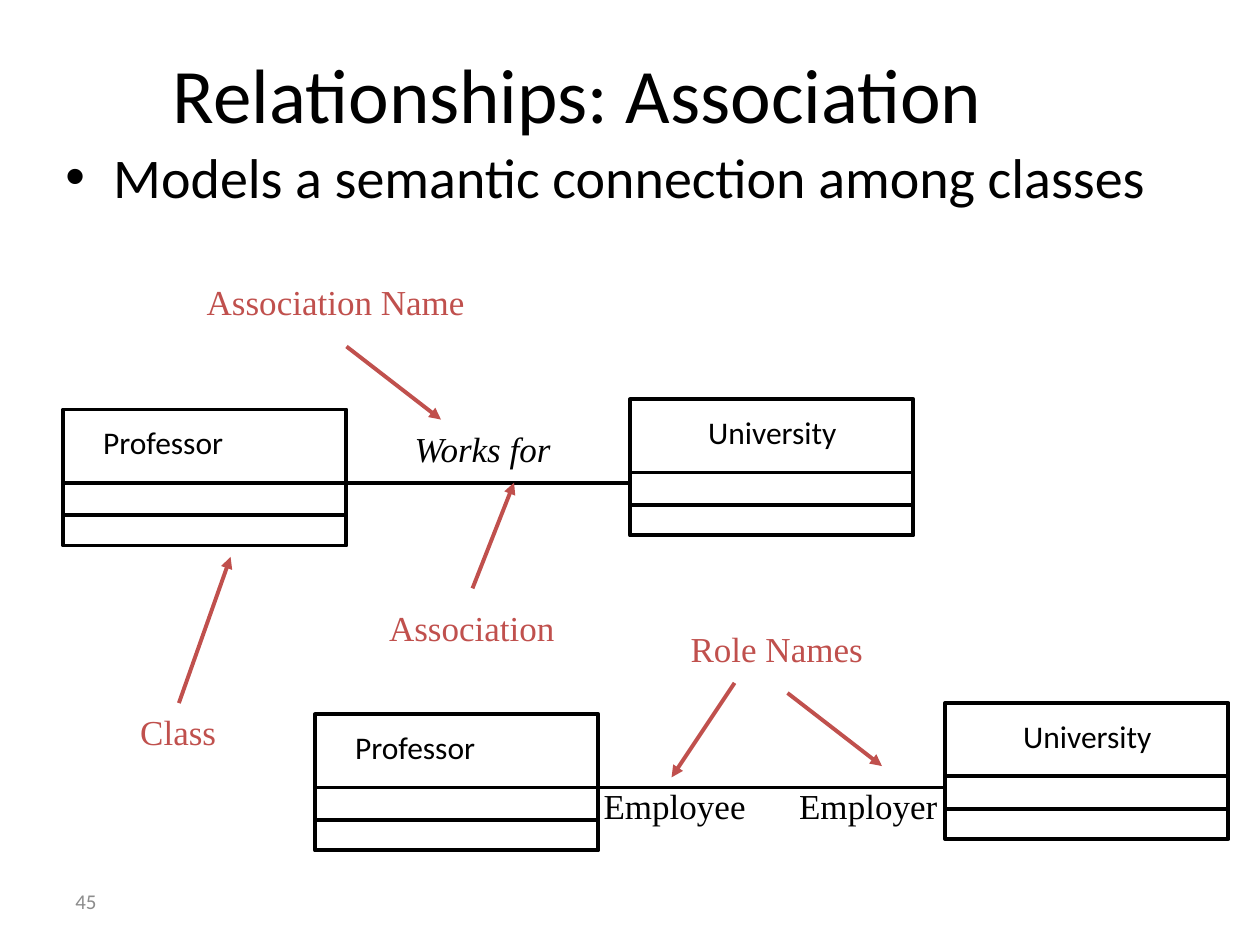
from lxml.etree import SubElement
from pptx import Presentation
from pptx.dml.color import RGBColor
from pptx.enum.shapes import MSO_CONNECTOR, MSO_SHAPE
from pptx.enum.text import MSO_ANCHOR, PP_ALIGN
from pptx.oxml.ns import qn
from pptx.util import Inches, Pt

COLORS = {"ink": "000000", "accent": "C0504D", "muted": "8C8C8C"}
CLASS_TEXT = {"name": "Calibri", "size": Pt(18)}
LABEL_TEXT = {"name": "Times New Roman", "size": Pt(20)}
TITLE_TEXT = {"name": "Calibri", "size": Pt(44)}
BODY_TEXT = {"name": "Calibri", "size": Pt(32)}
NUMBER_TEXT = {"name": "Calibri", "size": Pt(12)}


def rgb(color):
    return RGBColor.from_string(COLORS[color])


def write(sp, text, style, color="ink", align=PP_ALIGN.LEFT, anchor=MSO_ANCHOR.TOP):
    tf = sp.text_frame
    tf.word_wrap = True
    tf.vertical_anchor = anchor
    p = tf.paragraphs[0]
    p.alignment = align
    r = p.add_run()
    r.text = text
    for key, value in style.items():
        setattr(r.font, key, value)
    r.font.color.rgb = rgb(color)
    return p


def add_text(s, box, text, style, **options):
    sp = s.shapes.add_textbox(*map(Inches, box))
    write(sp, text, style, **options)
    return sp


def add_label(s, x, y, text, width=2.33, italic=False, color="accent", align=PP_ALIGN.CENTER):
    sp = add_text(s, (x, y, width, 0.45), text, {**LABEL_TEXT, "italic": italic},
                  color=color, align=align)
    margins = {"margin_left": 0.12, "margin_right": 0.12, "margin_top": 0.06, "margin_bottom": 0.06}
    for key, value in margins.items():
        setattr(sp.text_frame, key, Inches(value))


def add_line(s, start, end, color="ink", arrow=False):
    line = s.shapes.add_connector(MSO_CONNECTOR.STRAIGHT, *map(Inches, (*start, *end)))
    line.line.width = Pt(2.25)
    line.line.color.rgb = rgb(color)
    if arrow:
        SubElement(line.line._get_or_add_ln(), qn("a:tailEnd"), type="triangle")
    SubElement(line._element.spPr, qn("a:effectLst"))


def add_class(s, x, y, name, align=PP_ALIGN.LEFT):
    width = 2.25
    sp = s.shapes.add_shape(MSO_SHAPE.RECTANGLE, *map(Inches, (x, y, width, 1.08)))
    sp.shadow.inherit = False
    sp.fill.background()
    sp.line.color.rgb = rgb("ink")
    sp.line.width = Pt(2.25)
    add_text(s, (x + 0.22, y + 0.06, 1.82, 0.5), name, CLASS_TEXT, align=align)
    for offset in (0.58, 0.84):
        add_line(s, (x, y + offset), (x + width, y + offset))


def add_title(s, text):
    sp = s.shapes.title
    for key, value in {"left": 0.5, "top": 0.3, "width": 8.17, "height": 0.87}.items():
        setattr(sp, key, Inches(value))
    write(sp, text, TITLE_TEXT, align=PP_ALIGN.CENTER, anchor=MSO_ANCHOR.MIDDLE)


def add_bullet(s, text):
    sp = add_text(s, (0.42, 1.08, 9.25, 0.7), text, BODY_TEXT)
    pPr = sp.text_frame.paragraphs[0]._p.get_or_add_pPr()
    pPr.set("marL", str(Inches(0.38)))
    pPr.set("indent", str(-Inches(0.38)))
    SubElement(pPr, qn("a:buFont"), typeface="Arial")
    SubElement(pPr, qn("a:buChar"), char="•")


def main():
    prs = Presentation()
    prs.slide_width, prs.slide_height = Inches(10), Inches(7.5)
    s = prs.slides.add_slide(prs.slide_layouts[5])
    add_title(s, "Relationships: Association")
    add_bullet(s, "Models a semantic connection among classes")

    for x, y in ((0.5, 3.25), (2.5, 5.67)):
        add_class(s, x, y, "Professor")
    for x, y in ((5, 3.17), (7.5, 5.58)):
        add_class(s, x, y, "University", PP_ALIGN.CENTER)
    for start, end in (((2.67, 3.83), (5, 3.83)), ((4.75, 6.25), (7.5, 6.25))):
        add_line(s, start, end)

    add_label(s, 3.17, 3.33, "Works for", 1.73, italic=True, color="ink", align=PP_ALIGN.LEFT)
    add_label(s, 4.67, 6.17, "Employee", 1.73, color="ink", align=PP_ALIGN.LEFT)
    add_label(s, 5.83, 6.17, "Employer", 1.73, color="ink", align=PP_ALIGN.RIGHT)

    callouts = [
        ("Association Name", 1.5, 2.17, [((2.75, 2.75), (3.5, 3.33))]),
        ("Association", 2.58, 4.75, [((3.75, 4.67), (4.08, 3.83))]),
        ("Class", 0.25, 5.58, [((1.42, 5.58), (1.83, 4.42))]),
        ("Role Names", 5, 4.92, [((6.25, 5.5), (7, 6.08)), ((5.83, 5.42), (5.33, 6.17))]),
    ]
    for text, x, y, arrows in callouts:
        add_label(s, x, y, text)
        for start, end in arrows:
            add_line(s, start, end, "accent", arrow=True)

    add_text(s, (0.5, 6.95, 2.33, 0.4), "45", NUMBER_TEXT, color="muted", anchor=MSO_ANCHOR.MIDDLE)
    prs.save("out.pptx")


if __name__ == "__main__":
    main()
